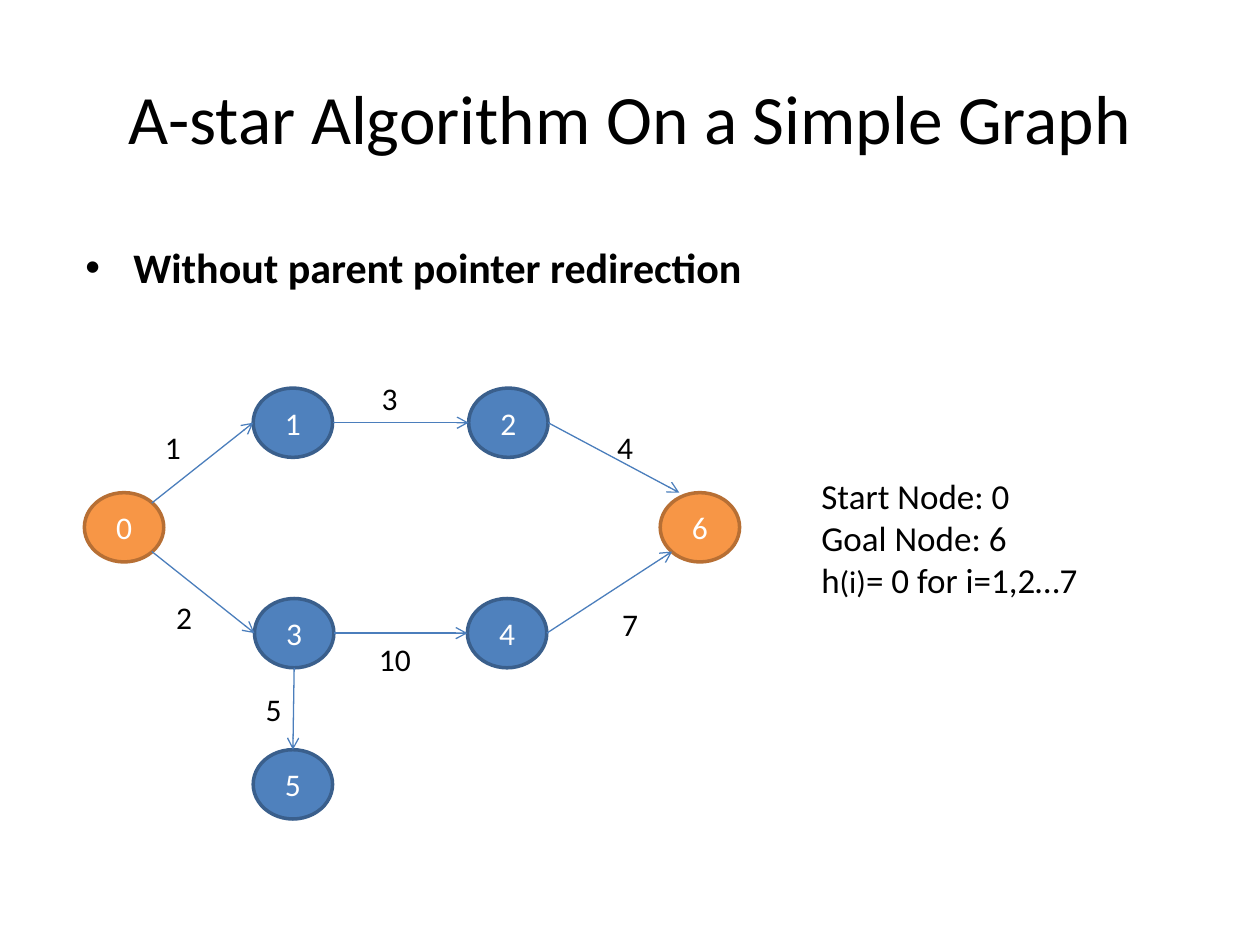
import dataclasses

import lxml.etree
import pptx
import pptx.dml.color
import pptx.enum.shapes
import pptx.enum.text
import pptx.oxml.ns
import pptx.util

Inches = pptx.util.Inches
Align = pptx.enum.text.PP_ALIGN
Anchor = pptx.enum.text.MSO_ANCHOR
qn = pptx.oxml.ns.qn


@dataclasses.dataclass(frozen=True)
class Theme:
    font: str = "Calibri"
    text: str = "000000"
    node_text: str = "FFFFFF"
    edge: str = "4B7EBC"
    inner: tuple = ("4F81BD", "3A5F8C")
    terminal: tuple = ("F79646", "B76F34")
    title_size: float = 39.6
    heading_size: float = 24
    note_size: float = 20
    label_size: float = 18
    node_line: float = 2
    edge_line: float = 0.75


NODE_WIDTH, NODE_HEIGHT = 0.63, 0.55
NODES = {
    "0": (0.67, 3.91), "4": (3.71, 4.75), "2": (3.72, 3.08), "6": (5.24, 3.91),
    "3": (2.02, 4.75), "1": (2.01, 3.08), "5": (2.01, 5.95),
}
TERMINALS = ("0", "6")
SITES = {
    "top": (0.5, 0), "left": (0, 0.5), "bottom": (0.5, 1), "right": (1, 0.5),
    "top right": (0.85, 0.15), "bottom right": (0.85, 0.85),
    "bottom left": (0.15, 0.85), "upper left": (0.24, 0),
}
EDGES = [
    ("0", "top right", "1", "left"),
    ("1", "right", "2", "left"),
    ("2", "right", "6", "upper left"),
    ("0", "bottom right", "3", "left"),
    ("3", "right", "4", "left"),
    ("4", "right", "6", "bottom left"),
    ("3", "bottom", "5", "top"),
]
WEIGHTS = [
    ("3", 2.93, 2.96), ("4", 4.8, 3.35), ("7", 4.84, 4.75), ("10", 2.91, 5.03),
    ("1", 1.21, 3.35), ("2", 1.3, 4.7), ("5", 2.01, 5.43),
]


class GraphSlide:
    """Draw the elements of a graph slide in one theme."""

    def __init__(self, slide, theme):
        self.slide = slide
        self.theme = theme

    def color(self, value):
        return pptx.dml.color.RGBColor.from_string(value)

    def apply(self, target, values):
        for name, value in values.items():
            setattr(target, name, value)

    def add_runs(self, paragraph, runs, color=None, bold=False, align=Align.LEFT):
        paragraph.alignment = align
        for text, size in runs:
            run = paragraph.add_run()
            run.text = text
            self.apply(run.font, {
                "name": self.theme.font, "size": pptx.util.Pt(size), "bold": bold})
            run.font.color.rgb = self.color(color or self.theme.text)

    def title(self, text):
        shape = self.slide.shapes.title
        self.apply(shape, {
            "left": Inches(0.5), "top": Inches(0.3),
            "width": Inches(9), "height": Inches(1.25)})
        shape.text_frame.vertical_anchor = Anchor.MIDDLE
        self.add_runs(shape.text_frame.paragraphs[0], [(text, self.theme.title_size)],
                      align=Align.CENTER)

    def text(self, box, lines, bold=False):
        shape = self.slide.shapes.add_textbox(*map(Inches, box))
        frame = shape.text_frame
        frame.word_wrap = True
        for index, runs in enumerate(lines):
            paragraph = frame.add_paragraph() if index else frame.paragraphs[0]
            self.add_runs(paragraph, runs, bold=bold)
        return frame

    def bullet(self, box, text):
        frame = self.text(box, [[(text, self.theme.heading_size)]], bold=True)
        properties = frame.paragraphs[0]._p.get_or_add_pPr()
        properties.set("marL", str(Inches(0.38)))
        properties.set("indent", str(-Inches(0.38)))
        lxml.etree.SubElement(properties, qn("a:buFont"), typeface="Arial")
        lxml.etree.SubElement(properties, qn("a:buChar"), char="•")

    def node(self, name, left, top):
        shape = self.slide.shapes.add_shape(
            pptx.enum.shapes.MSO_SHAPE.OVAL,
            *map(Inches, (left, top, NODE_WIDTH, NODE_HEIGHT)))
        fill, line = self.theme.terminal if name in TERMINALS else self.theme.inner
        shape.shadow.inherit = False
        shape.fill.solid()
        shape.fill.fore_color.rgb = self.color(fill)
        shape.line.color.rgb = self.color(line)
        shape.line.width = pptx.util.Pt(self.theme.node_line)
        shape.text_frame.vertical_anchor = Anchor.MIDDLE
        self.add_runs(shape.text_frame.paragraphs[0], [(name, self.theme.label_size)],
                      self.theme.node_text, align=Align.CENTER)

    def site(self, name, side):
        left, top = NODES[name]
        across, down = SITES[side]
        return Inches(left + across * NODE_WIDTH), Inches(top + down * NODE_HEIGHT)

    def edge(self, begin, begin_side, end, end_side):
        connector = self.slide.shapes.add_connector(
            pptx.enum.shapes.MSO_CONNECTOR.STRAIGHT,
            *self.site(begin, begin_side), *self.site(end, end_side))
        connector.line.color.rgb = self.color(self.theme.edge)
        connector.line.width = pptx.util.Pt(self.theme.edge_line)
        lxml.etree.SubElement(connector.line._get_or_add_ln(), qn("a:tailEnd"), type="arrow")
        lxml.etree.SubElement(connector._element.spPr, qn("a:effectLst"))


def main():
    presentation = pptx.Presentation()
    presentation.slide_width = Inches(10)
    presentation.slide_height = Inches(7.5)
    theme = Theme()
    graph = GraphSlide(
        presentation.slides.add_slide(presentation.slide_layouts[5]), theme)
    graph.title("A-star Algorithm On a Simple Graph")
    for name, (left, top) in NODES.items():
        graph.node(name, left, top)
    for edge in EDGES:
        graph.edge(*edge)
    for weight, left, top in WEIGHTS:
        graph.text((left, top, 0.5, 0.4), [[(weight, theme.label_size)]])
    graph.text((6.42, 3.72, 2.55, 1.11), [
        [("Start Node: 0", theme.note_size)],
        [("Goal Node: 6", theme.note_size)],
        [("h", theme.note_size), ("(i)", theme.label_size),
         ("= 0 for i=1,2…7", theme.note_size)],
    ])
    graph.bullet((0.58, 1.87, 5.75, 0.5), "Without parent pointer redirection")
    presentation.save("out.pptx")


if __name__ == "__main__":
    main()
